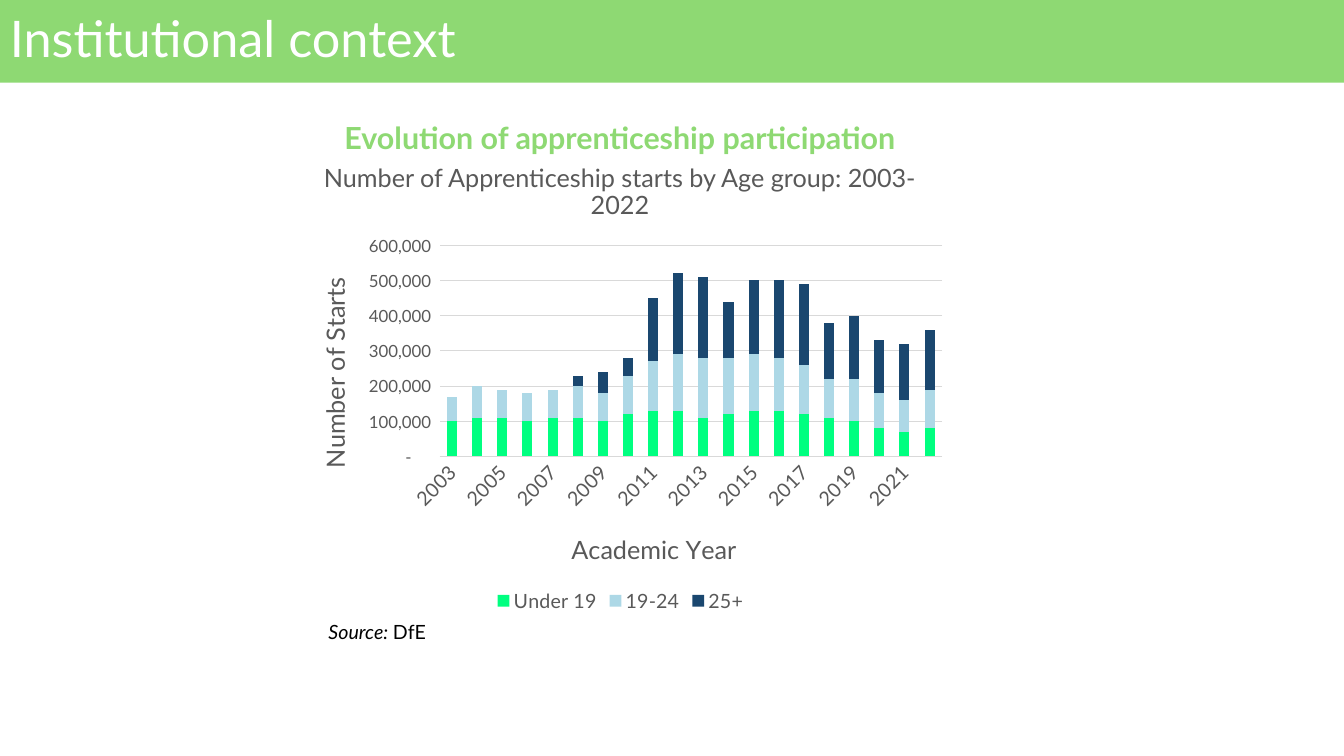
from dataclasses import dataclass

from lxml.etree import SubElement
from pptx import Presentation
from pptx.chart.chart import Chart
from pptx.chart.data import CategoryChartData
from pptx.dml.color import RGBColor
from pptx.enum.chart import XL_CHART_TYPE, XL_LEGEND_POSITION, XL_TICK_MARK
from pptx.enum.shapes import MSO_SHAPE
from pptx.enum.text import MSO_ANCHOR, PP_ALIGN
from pptx.oxml.ns import qn
from pptx.util import Pt

FONT = "Lato"
HUES = {
    "green": "8ED973", "white": "FFFFFF", "grey": "595959", "black": "000000",
    "grid": "D9D9D9", "young": "00FF80", "mid": "ADD8E6", "old": "1A476F",
}
YEARS = range(2003, 2023)


@dataclass
class Box:
    left: float
    top: float
    width: float
    height: float

    def points(self) -> list:
        return [Pt(n) for n in (self.left, self.top, self.width, self.height)]


@dataclass
class Run:
    text: str
    italic: bool = False


@dataclass
class Label:
    box: Box
    runs: list[Run]
    style: dict


@dataclass
class Group:
    """One age group, with starts in tens of thousands."""
    name: str
    hue: str
    starts: list[int]


LABELS = [
    Label(Box(218.9, 88.6, 447.8, 46.8), [Run("Evolution of apprenticeship participation")],
          dict(size=21.7, hue="green", bold=True, line=0.7, align=PP_ALIGN.CENTER)),
    Label(Box(218.9, 114.5, 447.8, 46.8),
          [Run("Number of Apprenticeship starts by Age group: 2003-2022")],
          dict(size=18, hue="grey", align=PP_ALIGN.CENTER)),
    Label(Box(227.5, 441.4, 439.9, 23), [Run("Source: ", True), Run("DfE")],
          dict(size=14, hue="black")),
]
GROUPS = [
    Group("Under 19", "young",
          [10, 11, 11, 10, 11, 11, 10, 12, 13, 13, 11, 12, 13, 13, 12, 11, 10, 8, 7, 8]),
    Group("19-24", "mid",
          [7, 9, 8, 8, 8, 9, 8, 11, 14, 16, 17, 16, 16, 15, 14, 11, 12, 10, 9, 11]),
    Group("25+", "old",
          [0, 0, 0, 0, 0, 3, 6, 5, 18, 23, 23, 16, 21, 22, 23, 16, 18, 15, 16, 17]),
]


def tint(name: str) -> RGBColor:
    return RGBColor.from_string(HUES[name])


def set_font(font, size: float, hue: str, bold: bool = False, italic: bool = False) -> None:
    font.name, font.size = FONT, Pt(size)
    font.bold, font.italic = bold, italic
    font.color.rgb = tint(hue)


def write(frame, runs: list[Run], *, size: float, hue: str, bold: bool = False,
          line: float = 0.9, before: float = 10, align=PP_ALIGN.LEFT,
          anchor=MSO_ANCHOR.TOP) -> None:
    frame.word_wrap = True
    frame.vertical_anchor = anchor
    para = frame.paragraphs[0]
    para.alignment, para.line_spacing, para.space_before = align, line, Pt(before)
    for part in runs:
        run = para.add_run()
        run.text = part.text
        set_font(run.font, size, hue, bold, part.italic)


def add_banner(slide) -> None:
    bar = slide.shapes.add_shape(MSO_SHAPE.RECTANGLE, *Box(0, 0, 960, 59).points())
    bar.shadow.inherit = False
    bar.fill.solid()
    bar.fill.fore_color.rgb = tint("green")
    bar.line.fill.background()
    write(bar.text_frame, [Run("Institutional context")], size=36, hue="white",
          before=0, anchor=MSO_ANCHOR.MIDDLE)


def place(chart: Chart, route: str, after: str, **spots) -> None:
    """Set a manual layout, in fractions of the chart area."""
    owner = chart.element.xpath(route)[0]
    for old in owner.findall(qn("c:layout")):
        owner.remove(old)
    layout = SubElement(owner, qn("c:layout"))
    manual = SubElement(layout, qn("c:manualLayout"))
    for tag, value in spots.items():
        SubElement(manual, qn(f"c:{tag}")).set("val", str(value))
    prior = owner.find(qn(after)) if after else None
    owner.insert(0 if prior is None else owner.index(prior) + 1, layout)


def turn(chart: Chart, route: str, angle: int) -> None:
    body = chart.element.xpath(f"{route}//a:bodyPr")[0]
    body.set("rot", str(angle * 60000))
    body.set("vert", "horz")


def style_axis(axis, title: str, size: float) -> None:
    axis.has_title = True
    frame = axis.axis_title.text_frame
    frame.text = title
    set_font(frame.paragraphs[0].runs[0].font, 18, "grey")
    axis.major_tick_mark = axis.minor_tick_mark = XL_TICK_MARK.NONE
    set_font(axis.tick_labels.font, size, "grey")


def add_starts(slide) -> None:
    data = CategoryChartData()
    data.categories = [str(year) for year in YEARS]
    for group in GROUPS:
        data.add_series(group.name, [n * 10000 for n in group.starts])
    box = Box(203.8, 161.3, 478.8, 279.4)
    chart = slide.shapes.add_chart(XL_CHART_TYPE.COLUMN_STACKED, *box.points(), data).chart
    set_font(chart.font, 10, "black")
    chart.has_title = False
    chart.has_legend = True
    chart.legend.position = XL_LEGEND_POSITION.BOTTOM
    chart.legend.include_in_layout = False
    set_font(chart.legend.font, 14, "grey")

    plot = chart.plots[0]
    plot.gap_width, plot.overlap, plot.vary_by_categories = 150, 100, False
    for group, bars in zip(GROUPS, plot.series):
        bars.format.fill.solid()
        bars.format.fill.fore_color.rgb = tint(group.hue)

    years, counts = chart.category_axis, chart.value_axis
    style_axis(years, "Academic Year", 14)
    style_axis(counts, "Number of Starts", 12)
    counts.minimum_scale, counts.maximum_scale, counts.major_unit = 0, 600000, 100000
    counts.tick_labels.number_format = '_-* #,##0_-;\\-* #,##0_-;_-* "-"??_-;_-@_'
    counts.tick_labels.number_format_is_linked = False
    counts.has_major_gridlines = True
    counts.format.line.fill.background()
    for line in (years.format.line, counts.major_gridlines.format.line):
        line.color.rgb = tint("grid")
        line.width = Pt(0.75)

    turn(chart, ".//c:catAx/c:txPr", -45)
    turn(chart, ".//c:valAx/c:title", -90)
    place(chart, ".//c:plotArea", "", layoutTarget="inner", xMode="edge", yMode="edge",
          x=0.23, y=0.05, w=0.75, h=0.54)
    place(chart, ".//c:catAx/c:title", "c:tx", xMode="edge", yMode="edge", x=0.42, y=0.77)
    place(chart, ".//c:valAx/c:title", "c:tx", xMode="edge", yMode="edge", x=0.04, y=0.12)


def main() -> None:
    deck = Presentation()
    deck.slide_width, deck.slide_height = Pt(960), Pt(540)
    slide = deck.slides.add_slide(deck.slide_layouts[6])
    add_banner(slide)
    for label in LABELS:
        area = slide.shapes.add_textbox(*label.box.points())
        write(area.text_frame, label.runs, **label.style)
    add_starts(slide)
    deck.save("out.pptx")


if __name__ == "__main__":
    main()
